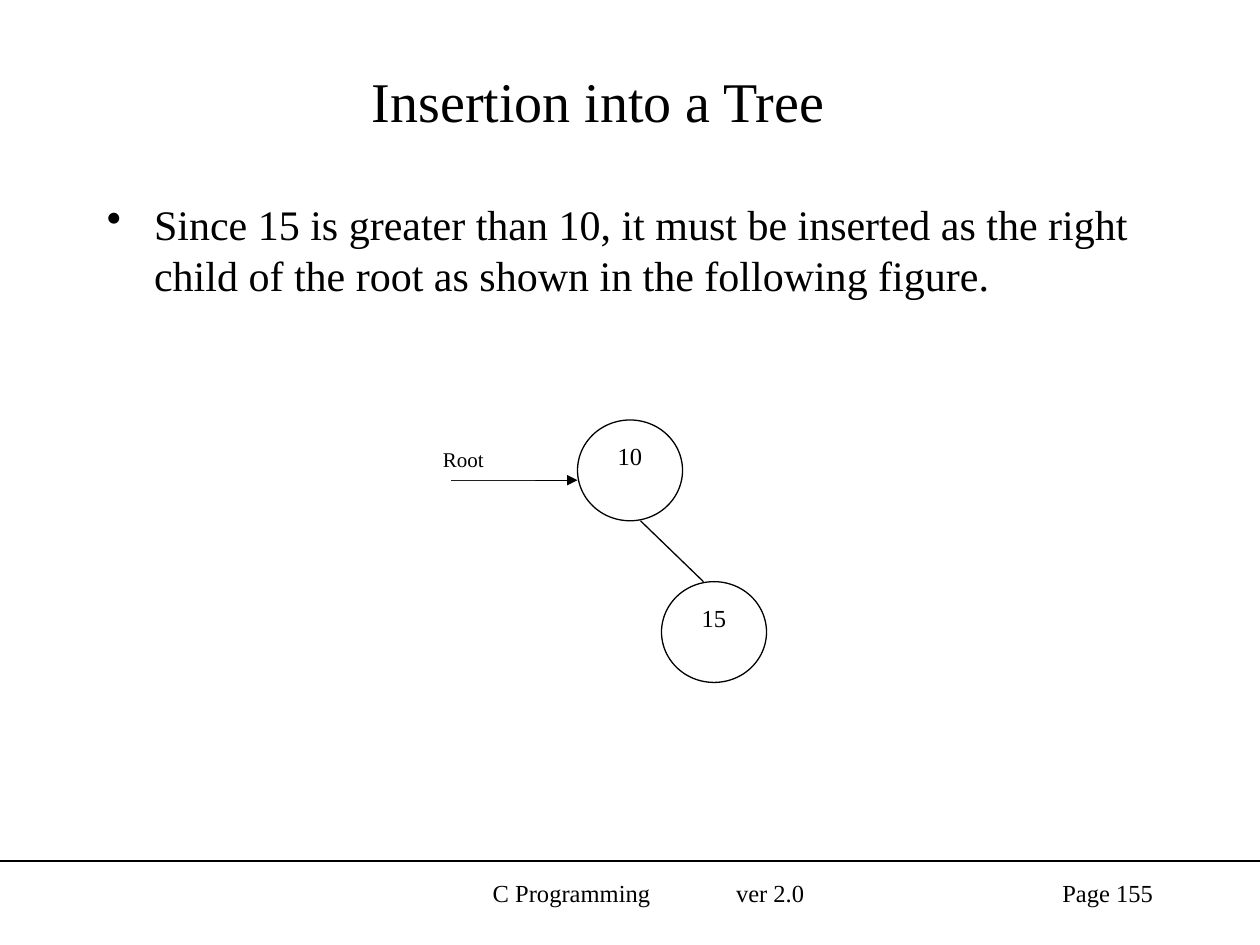
from lxml import etree
from pptx import Presentation
from pptx.dml.color import RGBColor
from pptx.enum import shapes, text
from pptx.oxml import ns
from pptx.util import Pt

BLACK = RGBColor(0x00, 0x00, 0x00)
WHITE = RGBColor(0xFF, 0xFF, 0xFF)
FONT = "Times New Roman"
NODE_W, NODE_H = 60, 57.6


def write(shape, words, size=14, align=text.PP_ALIGN.LEFT,
          anchor=text.MSO_ANCHOR.TOP, inset=7.2, bullet=None, tab=None):
    """Fill a shape with one formatted paragraph."""
    frame = shape.text_frame
    frame.word_wrap = True
    frame.vertical_anchor = anchor
    frame.margin_left = Pt(inset)
    paragraph = frame.paragraphs[0]
    paragraph.text = words
    paragraph.alignment = align
    properties = paragraph._p.get_or_add_pPr()
    if bullet:
        properties.set("marL", str(Pt(27)))
        properties.set("indent", str(Pt(-27)))
        etree.SubElement(properties, ns.qn("a:buChar"), char=bullet)
    if tab:
        stops = etree.SubElement(properties, ns.qn("a:tabLst"))
        etree.SubElement(stops, ns.qn("a:tab"), pos=str(Pt(tab)), algn="l")
    for run in paragraph.runs:
        run.font.name = FONT
        run.font.size = Pt(size)
        run.font.color.rgb = BLACK


def add_text(parent, left, top, width, height, words, **style):
    """Add a text box with formatted words."""
    box = parent.add_textbox(Pt(left), Pt(top), Pt(width), Pt(height))
    write(box, words, **style)
    return box


def add_line(parent, x1, y1, x2, y2, arrow=False):
    """Draw a thin black line, with an arrowhead at its end if asked."""
    line = parent.add_connector(shapes.MSO_CONNECTOR.STRAIGHT,
                                Pt(x1), Pt(y1), Pt(x2), Pt(y2))
    line.line.color.rgb = BLACK
    line.line.width = Pt(0.75)
    if arrow:
        etree.SubElement(line.line._get_or_add_ln(), ns.qn("a:tailEnd"), type="triangle")
    etree.SubElement(line._element.spPr, ns.qn("a:effectLst"))


def add_node(parent, left, top, value):
    """Draw one tree node holding its value."""
    node = parent.add_shape(shapes.MSO_SHAPE.OVAL, Pt(left), Pt(top), Pt(NODE_W), Pt(NODE_H))
    node.shadow.inherit = False
    node.fill.solid()
    node.fill.fore_color.rgb = WHITE
    node.line.color.rgb = BLACK
    node.line.width = Pt(0.75)
    write(node, value, align=text.PP_ALIGN.CENTER)


def add_footer(slide, left, top, width):
    """Place the rule, course name, version and page number."""
    add_line(slide.shapes, left, top, left + width, top)
    add_text(slide.shapes, left + 246, top + 6, 246, 36, "C Programming\tver 2.0",
             inset=35.6, tab=139)
    add_text(slide.shapes, left + 516, top + 6, 150, 36, "Page 155",
             align=text.PP_ALIGN.RIGHT)


def add_content(slide, left, top, width):
    """Place the title and the bullet below it."""
    add_text(slide.shapes, left, top, width, 78, "Insertion into a Tree", size=32,
             align=text.PP_ALIGN.CENTER, anchor=text.MSO_ANCHOR.MIDDLE)
    add_text(slide.shapes, left + 18, top + 92, width, 370,
             "Since 15 is greater than 10, it must be inserted as the right "
             "child of the root as shown in the following figure.",
             size=24, bullet="•")


def add_tree(slide, left, top):
    """Draw the root, its pointer and its right child as one group."""
    tree = slide.shapes.add_group_shape().shapes
    root_left = left + 84
    child_left, child_top = root_left + 48, top + 92.4
    pointer_y = top + 34.4
    add_node(tree, root_left, top, "10")
    add_line(tree, left + 12, pointer_y, root_left, pointer_y, arrow=True)
    label = add_text(tree, left, top + 11.4, 60, 23, "Root", size=12)
    label.fill.solid()
    label.fill.fore_color.rgb = WHITE
    add_line(tree, root_left + 36, top + NODE_H, child_left + 24, child_top)
    add_node(tree, child_left, child_top, "15")


def main():
    """Build and save the slide."""
    deck = Presentation()
    deck.slide_width, deck.slide_height = Pt(720), Pt(540)
    slide = deck.slides.add_slide(deck.slide_layouts[6])
    add_footer(slide, 0, 492, 720)
    add_content(slide, 36, 18, 612)
    add_tree(slide, 246, 240)
    deck.save("out.pptx")


if __name__ == "__main__":
    main()
